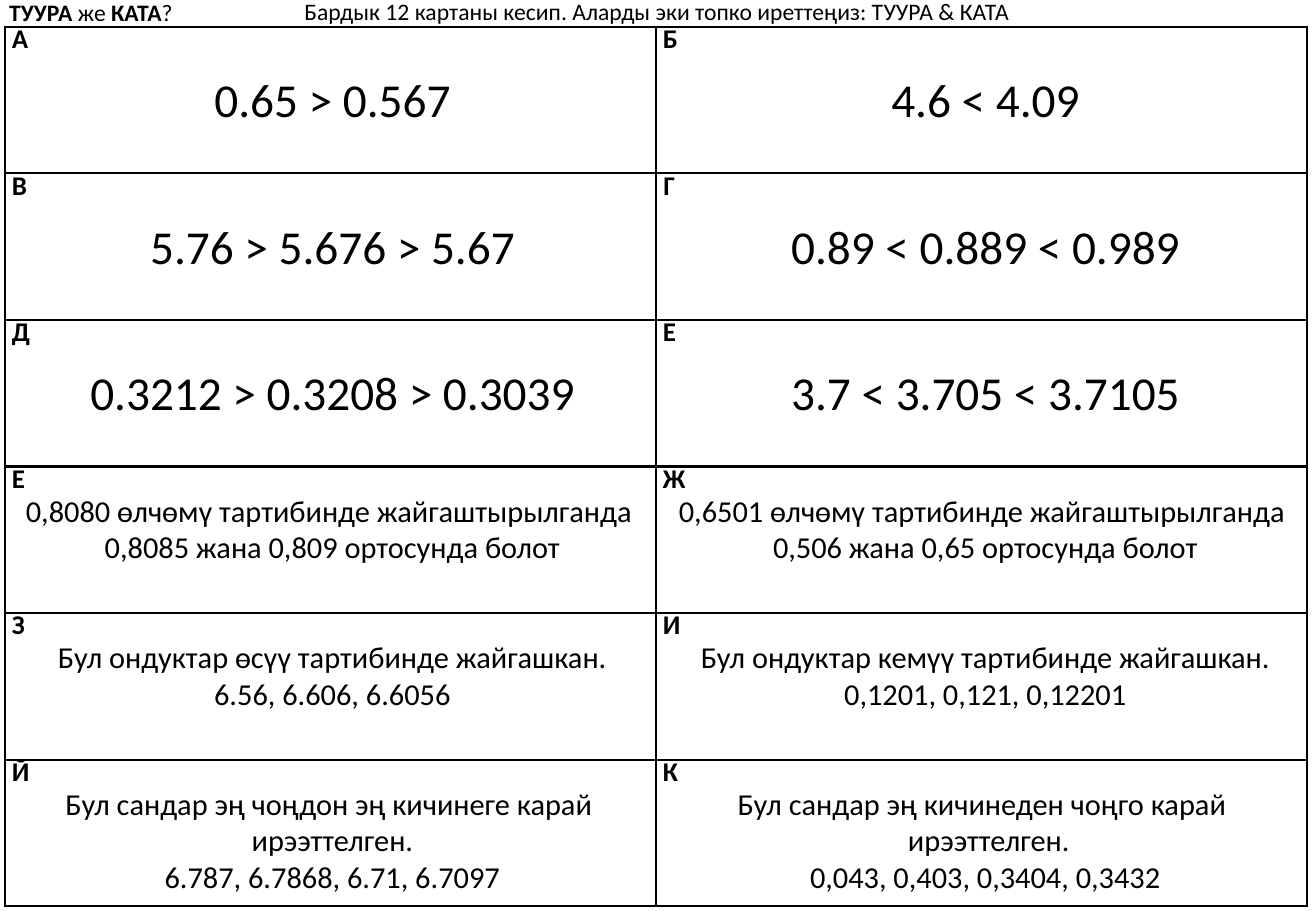
from pptx import Presentation, oxml, util as u
from pptx.dml.color import RGBColor
from pptx.enum import text as t

# Content
TITLE = [("ТУУРА", True), (" же ", False), ("КАТА", True), ("?", False)]
TASK = "Бардык 12 картаны кесип. Аларды эки топко иреттеңиз: ТУУРА & КАТА"
CARDS = [
    ("А", ["0.65 > 0.567"]),
    ("Б", ["4.6 < 4.09"]),
    ("В", ["5.76 > 5.676 > 5.67"]),
    ("Г", ["0.89 < 0.889 < 0.989"]),
    ("Д", ["0.3212 > 0.3208 > 0.3039"]),
    ("Е", ["3.7 < 3.705 < 3.7105"]),
    ("Е", ["0,8080 өлчөмү тартибинде жайгаштырылганда ",
           "0,8085 жана 0,809 ортосунда болот"]),
    ("Ж", ["0,6501 өлчөмү тартибинде жайгаштырылганда ",
           "0,506 жана 0,65 ортосунда болот"]),
    ("З", ["Бул ондуктар өсүү тартибинде жайгашкан.",
           "6.56, 6.606, 6.6056"]),
    ("И", ["Бул ондуктар кемүү тартибинде жайгашкан.",
           "0,1201, 0,121, 0,12201"]),
    ("Й", ["Бул сандар эң чоңдон эң кичинеге карай ",
           "ирээттелген.", "6.787, 6.7868, 6.71, 6.7097"]),
    ("К", ["Бул сандар эң кичинеден чоңго карай ",
           " ирээттелген.", "0,043, 0,403, 0,3404, 0,3432"]),
]

# Layout in centimetres
COLS, ROWS = 2, len(CARDS) // 2
COL, ROW = 13.61, 3.065
FONT, INK, PAPER = "Calibri", "000000", "FFFFFF"


def color(code):
    return RGBColor.from_string(code)


def place(box, *spot):
    box.left, box.top, box.width, box.height = map(u.Cm, spot)


def write(box, lines, size, wrap=False, lead=None):
    """Fill a box with centred lines, each a list of (words, bold) runs."""
    frame = box.text_frame
    frame.word_wrap = wrap
    frame.auto_size = t.MSO_AUTO_SIZE.SHAPE_TO_FIT_TEXT
    frame.vertical_anchor = t.MSO_ANCHOR.TOP
    for i, runs in enumerate(lines):
        para = frame.add_paragraph() if i else frame.paragraphs[0]
        para.alignment = t.PP_ALIGN.CENTER
        if lead:
            para.line_spacing = u.Pt(lead)
        for words, bold in runs:
            run = para.add_run()
            run.text = words
            run.font.name, run.font.size = FONT, u.Pt(size)
            run.font.bold = bold
            run.font.color.rgb = color(INK)


def label(slide, spot, lines, size, **style):
    box = slide.shapes.add_textbox(*map(u.Cm, spot))
    write(box, lines, size, **style)


def border(cell, width):
    props = cell._tc.get_or_add_tcPr()
    for i, side in enumerate("LRTB"):
        props.insert(i, oxml.parse_xml(
            f'<a:ln{side} xmlns:a="http://schemas.openxmlformats.org/drawingml/2006/main"'
            f' w="{u.Pt(width)}"><a:solidFill><a:srgbClr val="{INK}"/>'
            f'</a:solidFill></a:ln{side}>'))


def main():
    deck = Presentation()
    deck.slide_width, deck.slide_height = u.Cm(27.51), u.Cm(19.05)
    slide = deck.slides.add_slide(deck.slide_layouts[5])

    # Card grid
    grid = slide.shapes.add_table(
        ROWS, COLS, u.Cm(0.1), u.Cm(0.56),
        u.Cm(COL * COLS), u.Cm(ROW * ROWS)).table
    grid.first_row = grid.horz_banding = False
    for cell in grid.iter_cells():
        cell.fill.solid()
        cell.fill.fore_color.rgb = color(PAPER)
        border(cell, 1.5)

    # Heading and task
    title = slide.shapes.title
    place(title, -0.08, -0.18, 3.96, 0.86)
    write(title, [TITLE], 14)
    label(slide, (6.05, -0.18, 15.37, 0.86), [[(TASK, False)]], 14)

    # Letters and statements
    for i, (letter, lines) in enumerate(CARDS):
        row, col = divmod(i, COLS)
        label(slide, (col * COL, 0.58 + row * ROW, 0.76, 0.74),
              [[(letter, True)]], 16, wrap=True, lead=12)
        size, gap, high = (28, 1.35, 1.45)
        if len(lines) > 1:
            size, gap, high = 18, 0.97, 0.28 + 0.76 * len(lines)
        label(slide, (0.15 + col * 13.65, gap + row * ROW, 13.6, high),
              [[(line, False)] for line in lines], size)

    deck.save("out.pptx")


if __name__ == "__main__":
    main()
